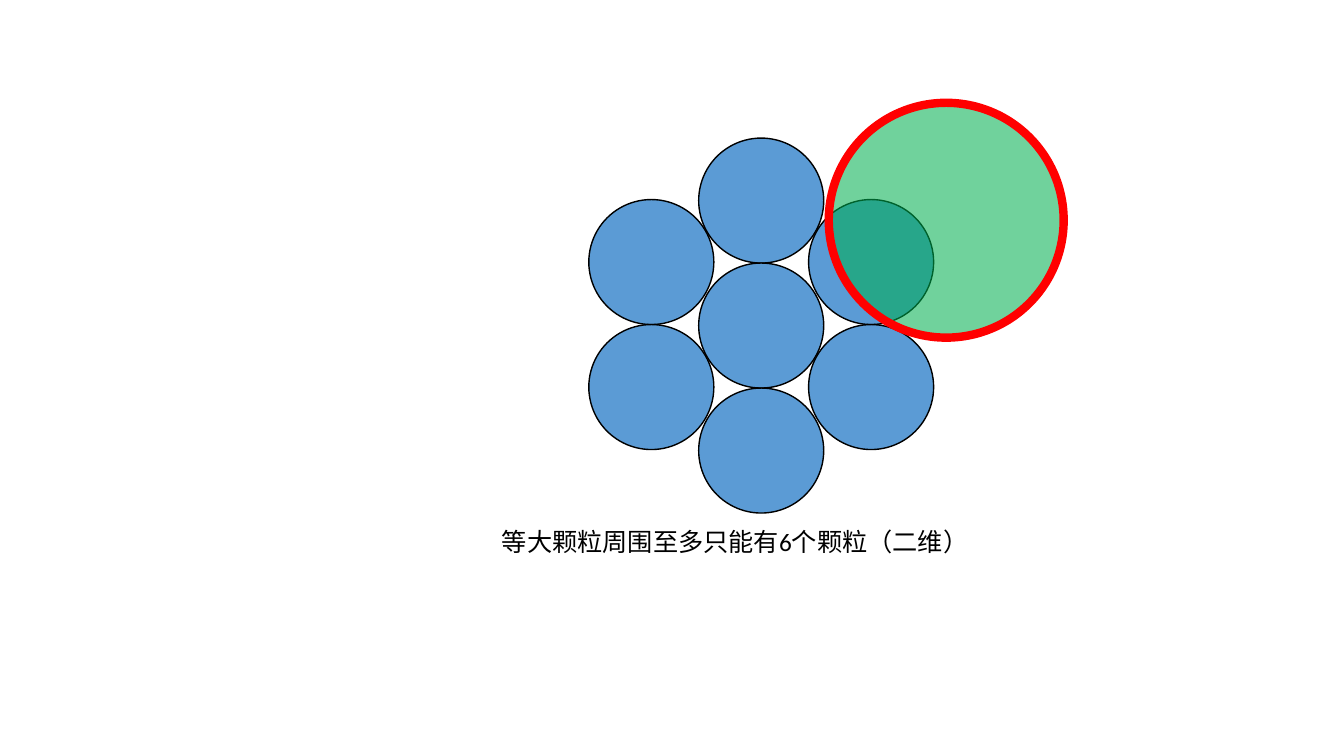
from dataclasses import dataclass

from lxml.etree import SubElement
from pptx import Presentation
from pptx.dml.color import RGBColor
from pptx.enum.shapes import MSO_SHAPE
from pptx.enum.text import MSO_AUTO_SIZE, PP_ALIGN
from pptx.oxml.ns import qn
from pptx.util import Inches, Pt


@dataclass(frozen=True)
class Theme:
    font: str = "Calibri"
    caption_size: int = 18
    ink: str = "000000"
    particle: str = "5B9BD5"
    highlight: str = "00B050"
    ring: str = "FF0000"


class SlideBuilder:
    def __init__(self, slide, theme):
        self.slide = slide
        self.theme = theme

    def circle(self, left, top, size, fill, line, weight, opacity=100):
        sp = self.slide.shapes.add_shape(
            MSO_SHAPE.FLOWCHART_CONNECTOR,
            Inches(left), Inches(top), Inches(size), Inches(size))
        sp.shadow.inherit = False
        sp.fill.solid()
        sp.fill.fore_color.rgb = RGBColor.from_string(fill)
        sp.line.color.rgb = RGBColor.from_string(line)
        sp.line.width = Pt(weight)
        if opacity < 100:
            color = sp._element.spPr.find(qn("a:solidFill"))[0]
            SubElement(color, qn("a:alpha")).set("val", str(opacity * 1000))

    def caption(self, text, left, top, width, height):
        box = self.slide.shapes.add_textbox(
            Inches(left), Inches(top), Inches(width), Inches(height))
        tf = box.text_frame
        tf.word_wrap = True
        tf.auto_size = MSO_AUTO_SIZE.SHAPE_TO_FIT_TEXT
        p = tf.paragraphs[0]
        p.text = text
        p.alignment = PP_ALIGN.LEFT
        p.font.name = self.theme.font
        p.font.size = Pt(self.theme.caption_size)
        p.font.color.rgb = RGBColor.from_string(self.theme.ink)


def main():
    prs = Presentation()
    prs.slide_width, prs.slide_height = Inches(13.33), Inches(7.5)
    theme = Theme()
    s = SlideBuilder(prs.slides.add_slide(prs.slide_layouts[6]), theme)

    # Close-packed particles: three columns, the middle one taller
    diameter, column_step = 1.24, 1.09
    columns = [(1.98, 2), (1.37, 3), (1.98, 2)]
    for col, (top, count) in enumerate(columns):
        for row in range(count):
            s.circle(5.84 + col * column_step, top + row * diameter,
                     diameter, theme.particle, theme.ink, 1)

    # Caption
    s.caption("等大颗粒周围至多只能有6个颗粒（二维）", 4.88, 5.17, 5.33, 0.4)

    # Large translucent particle
    s.circle(8.22, 1.02, 2.33, theme.highlight, theme.ring, 6, opacity=56)

    prs.save("out.pptx")


if __name__ == "__main__":
    main()
